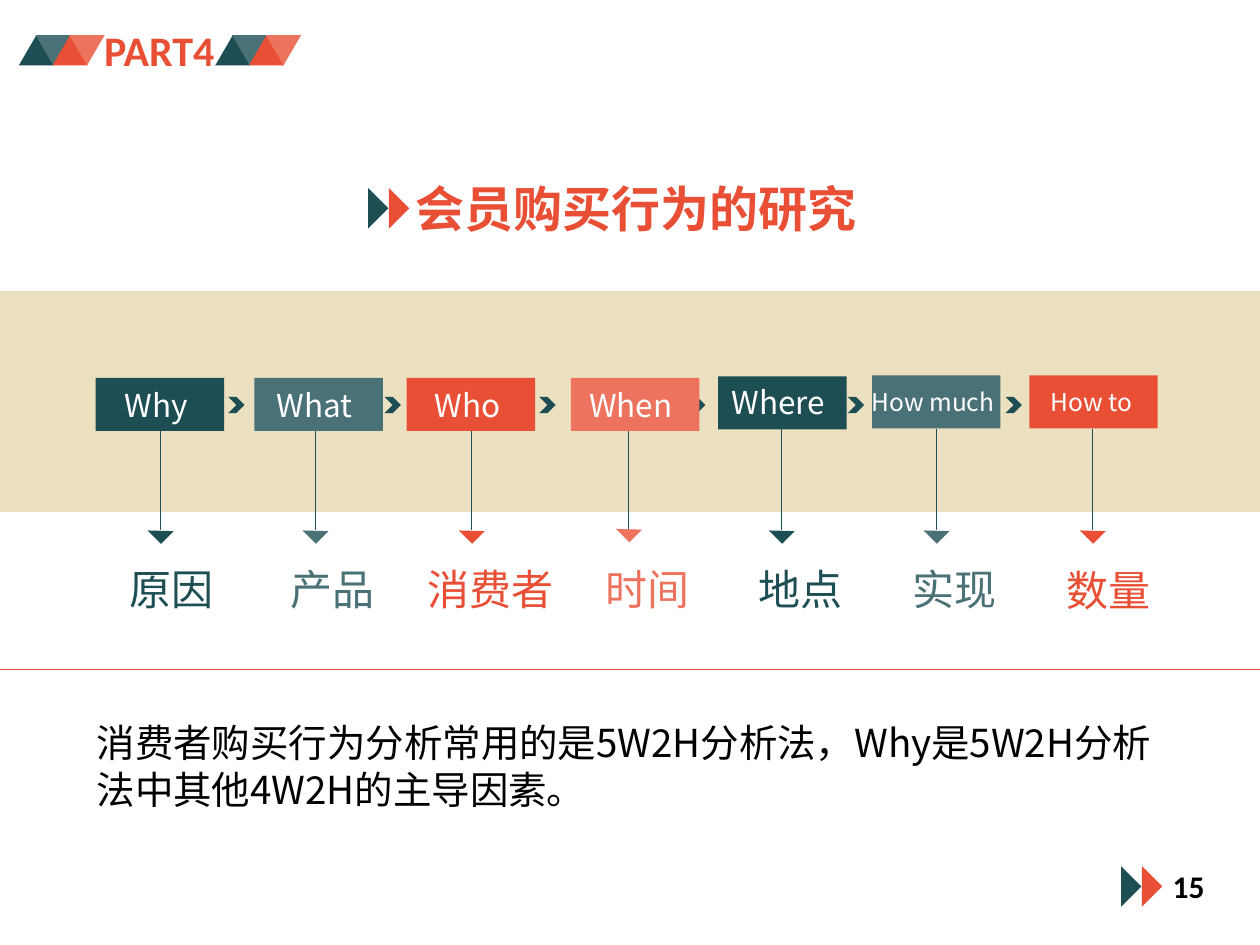
from dataclasses import dataclass

from lxml.etree import SubElement
from pptx import Presentation
from pptx.dml.color import RGBColor
from pptx.enum.shapes import MSO_CONNECTOR, MSO_SHAPE
from pptx.enum.text import MSO_AUTO_SIZE
from pptx.oxml.ns import qn
from pptx.util import Cm, Pt

COLORS = {
    "teal": "1D4E53",
    "slate": "4A7176",
    "red": "E94F35",
    "coral": "ED735E",
    "sand": "EBE0C0",
    "white": "FFFFFF",
    "black": "000000",
}
CJK_FONT = "Noto Sans CJK SC"
LATIN_FONT = "Calibri"


def rgb(color):
    return RGBColor.from_string(COLORS[color])


@dataclass
class SlideBuilder:
    """Draws styled elements on one slide; all lengths are in centimetres."""
    slide: object

    def shape(self, kind, left, top, width, height, color, rotation=0, flip=None):
        """Add a filled preset shape; flip is "flipH" or "flipV"."""
        shape = self.slide.shapes.add_shape(
            kind, Cm(left), Cm(top), Cm(width), Cm(height))
        shape.shadow.inherit = False
        shape.fill.solid()
        shape.fill.fore_color.rgb = rgb(color)
        shape.line.fill.background()
        shape.rotation = rotation
        if flip:
            shape._element.spPr.find(qn("a:xfrm")).set(flip, "1")

    def line(self, x1, y1, x2, y2, color, weight):
        line = self.slide.shapes.add_connector(
            MSO_CONNECTOR.STRAIGHT, Cm(x1), Cm(y1), Cm(x2), Cm(y2))
        line.line.color.rgb = rgb(color)
        line.line.width = Pt(weight)
        SubElement(line._element.spPr, qn("a:effectLst"))

    def text(self, words, left, top, width, height, size, color,
             font=CJK_FONT, bold=False, wrap=False):
        box = self.slide.shapes.add_textbox(
            Cm(left), Cm(top), Cm(width), Cm(height))
        frame = box.text_frame
        frame.text = words
        frame.word_wrap = wrap
        frame.auto_size = MSO_AUTO_SIZE.SHAPE_TO_FIT_TEXT
        run = frame.paragraphs[0].runs[0]
        run.font.size = Pt(size)
        run.font.bold = bold
        run.font.color.rgb = rgb(color)
        run.font.name = font
        SubElement(run._r.get_or_add_rPr(), qn("a:ea"), typeface=font)

    def double_arrow(self, left, top):
        """Two right-pointing triangles, red behind teal."""
        for offset, color in ((0.42, "red"), (0, "teal")):
            self.shape(MSO_SHAPE.RIGHT_TRIANGLE, left + offset, top, 0.58, 0.58,
                       color, rotation=315, flip="flipH")

    def triangle_strip(self, left, top):
        for i, color in enumerate(("teal", "slate", "red", "coral")):
            self.shape(MSO_SHAPE.ISOSCELES_TRIANGLE, left + i * 0.34, top, 0.71, 0.61,
                       color, flip="flipV" if i % 2 else None)

    def step(self, word, size, color, box, word_box, stem_x, arrow_top, label, label_box):
        """One question box with its stem, arrowhead and label below."""
        self.line(stem_x, 8.64, stem_x, 10.69, "teal", 0.5)
        self.shape(MSO_SHAPE.RIGHT_TRIANGLE, stem_x - 0.18, arrow_top, 0.38, 0.36,
                   color, rotation=45, flip="flipH")
        self.shape(MSO_SHAPE.RECTANGLE, *box, 2.59, 1.07, color)
        self.text(word, *word_box, 1.02 if size == 18 else 0.86, size, "white")
        self.text(label, *label_box, 1.27, 24, color)


# word, size, colour, box (left, top), word box (left, top, width),
# stem x, arrowhead top, label, label box (left, top, width)
STEPS = [
    ("Why", 18, "teal", (1.93, 7.62), (2.26, 7.65, 1.91),
     3.23, 10.52, "原因", (2.36, 11.23, 2.24)),
    ("What", 18, "slate", (5.13, 7.62), (5.33, 7.65, 2.16),
     6.35, 10.52, "产品", (5.61, 11.23, 2.24)),
    ("Who", 18, "red", (8.2, 7.62), (8.51, 7.65, 1.98),
     9.5, 10.52, "消费者", (8.36, 11.23, 3.07)),
    ("When", 18, "coral", (11.51, 7.62), (11.63, 7.65, 2.34),
     12.67, 10.49, "时间", (11.96, 11.23, 2.24)),
    ("Where", 18, "teal", (14.48, 7.59), (14.5, 7.59, 2.54),
     15.75, 10.52, "地点", (15.04, 11.23, 2.24)),
    ("How much", 14, "slate", (17.58, 7.57), (17.32, 7.67, 3.1),
     18.87, 10.52, "实现", (18.14, 11.23, 2.24)),
    ("How to", 14, "red", (20.75, 7.57), (20.93, 7.67, 2.26),
     22.02, 10.52, "数量", (21.26, 11.25, 2.24)),
]
CHEVRON_LEFTS = (4.6, 7.75, 10.87, 13.89, 17.09, 20.27)


def main():
    deck = Presentation()
    deck.slide_width, deck.slide_height = Cm(25.4), Cm(19.05)
    page = SlideBuilder(deck.slides.add_slide(deck.slide_layouts[6]))

    page.shape(MSO_SHAPE.RECTANGLE, 0, 5.87, 25.4, 4.45, "sand")
    for left in CHEVRON_LEFTS:
        page.shape(MSO_SHAPE.CHEVRON, left, 8, 0.33, 0.33, "teal")
    for step in STEPS:
        page.step(*step)

    page.line(0, 13.49, 25.4, 13.49, "red", 0.75)
    page.text("消费者购买行为分析常用的是5W2H分析法，Why是5W2H分析法中其他4W2H的主导因素。",
              1.7, 14.38, 22, 2.13, 22, "black", wrap=True)

    page.double_arrow(22.31, 17.58)
    page.text("15", 23.39, 17.35, 1.17, 1.02, 18, "black", LATIN_FONT, bold=True)

    page.triangle_strip(0.38, 0.71)
    page.text("PART4", 1.85, 0.36, 2.74, 1.27, 24, "red", LATIN_FONT, bold=True)
    page.triangle_strip(4.34, 0.71)

    page.text("会员购买行为的研究", 8.13, 3.48, 10.13, 1.45, 28, "red",
              bold=True, wrap=True)
    page.double_arrow(7.13, 3.91)

    deck.save("out.pptx")


if __name__ == "__main__":
    main()
